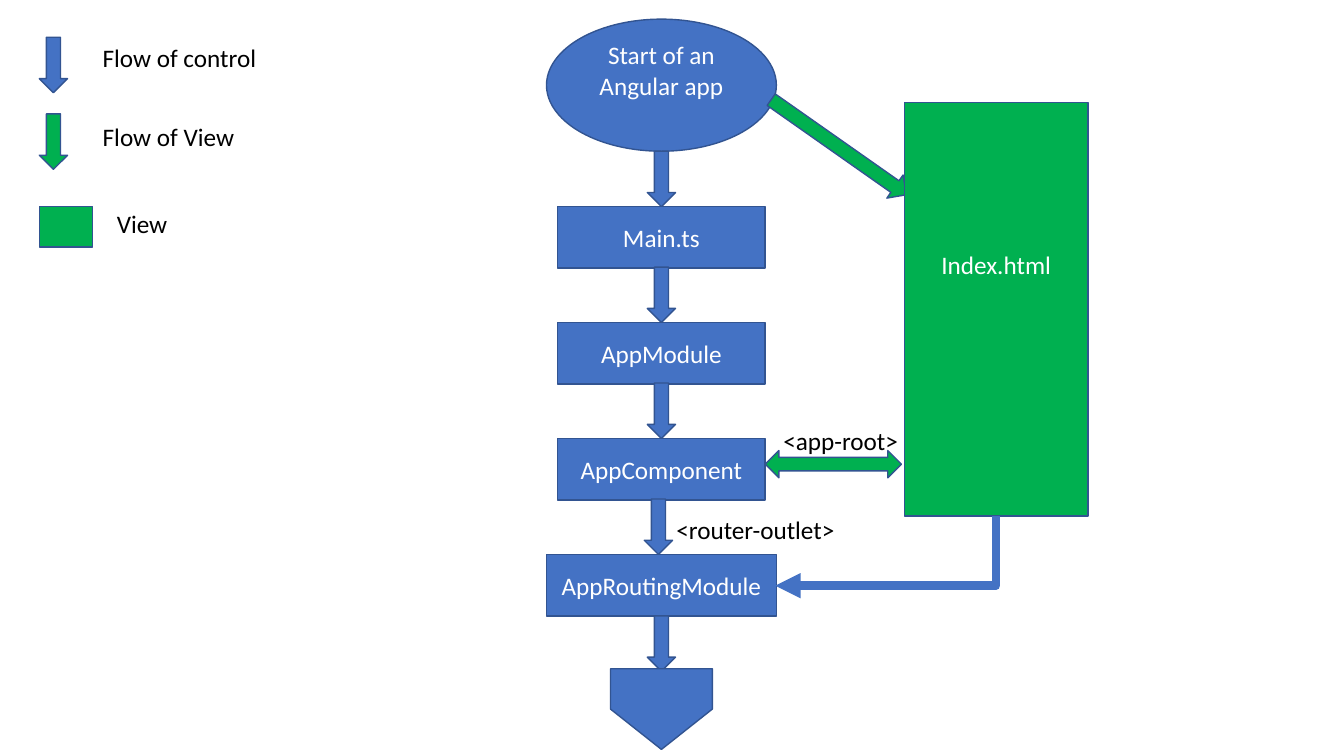
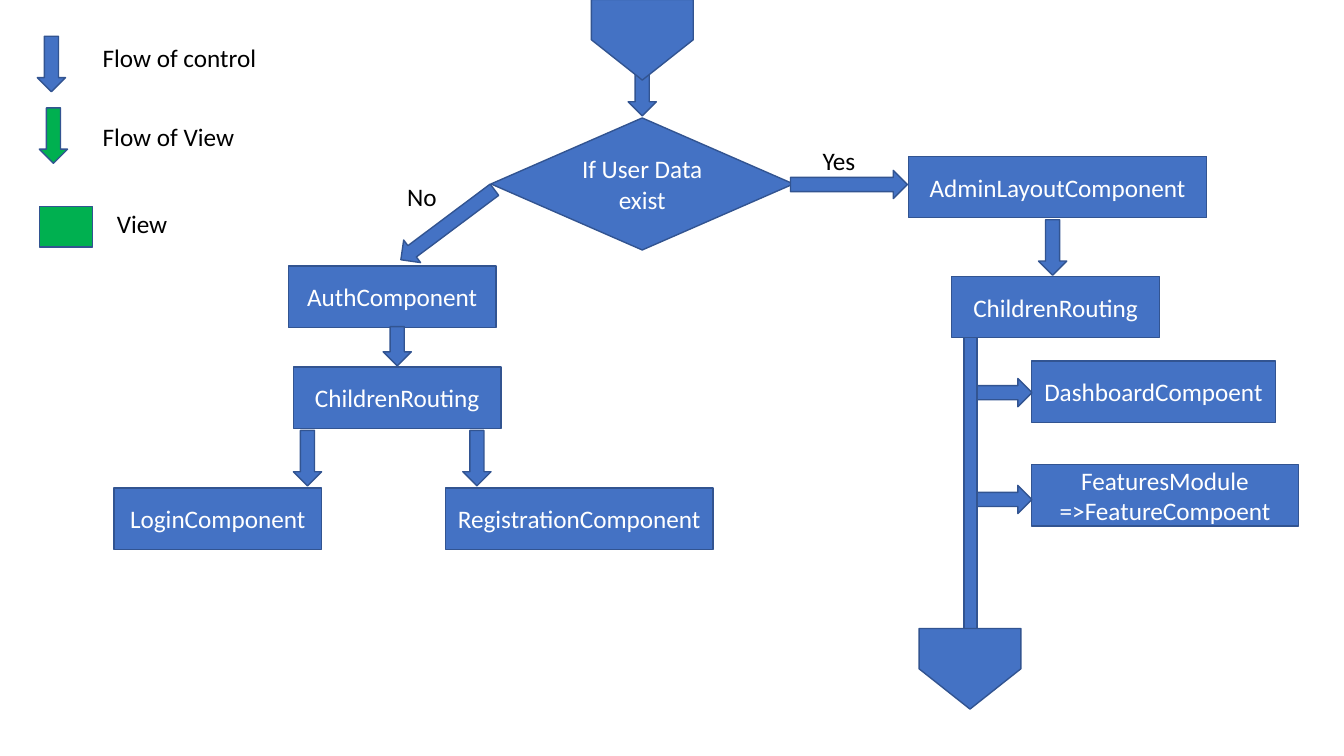
from dataclasses import dataclass

from lxml import etree
from pptx import Presentation
from pptx.dml.color import RGBColor
from pptx.enum.shapes import MSO_CONNECTOR, MSO_SHAPE
from pptx.enum.text import MSO_ANCHOR, PP_ALIGN
from pptx.oxml.ns import qn
from pptx.util import Inches, Pt

RECT = MSO_SHAPE.RECTANGLE
OVAL = MSO_SHAPE.OVAL
DIAMOND = MSO_SHAPE.DIAMOND
PENTAGON = MSO_SHAPE.PENTAGON
ARROW = MSO_SHAPE.DOWN_ARROW
DOUBLE_ARROW = MSO_SHAPE.LEFT_RIGHT_ARROW
ELBOW = MSO_CONNECTOR.ELBOW


@dataclass(frozen=True)
class Theme:
    """Colours and type shared by both slides."""
    control: RGBColor = RGBColor(0x44, 0x72, 0xC4)
    view: RGBColor = RGBColor(0x00, 0xB0, 0x50)
    outline: RGBColor = RGBColor(0x32, 0x54, 0x91)
    on_fill: RGBColor = RGBColor(0xFF, 0xFF, 0xFF)
    ink: RGBColor = RGBColor(0x00, 0x00, 0x00)
    font: str = "Calibri"
    size: Pt = Pt(18)
    outline_width: Pt = Pt(1)
    elbow_width: Pt = Pt(6)


theme = Theme()


def add_block(page, kind, frame, text="", fill=theme.control, turn=0, lift=0):
    """Add an outlined shape; lift moves its text up by enlarging the bottom inset."""
    box = page.shapes.add_shape(kind, *map(Inches, frame))
    box.shadow.inherit = False
    box.rotation = turn
    box.fill.solid()
    box.fill.fore_color.rgb = fill
    box.line.color.rgb = theme.outline
    box.line.width = theme.outline_width
    if text:
        box.text_frame.word_wrap = True
        box.text_frame.vertical_anchor = MSO_ANCHOR.MIDDLE
        box.text_frame.margin_bottom = Inches(0.05 + lift)
        para = box.text_frame.paragraphs[0]
        para.text = text
        para.alignment = PP_ALIGN.CENTER
        para.font.name, para.font.size = theme.font, theme.size
        para.font.color.rgb = theme.on_fill


def add_label(page, left, top, width, text):
    """Add a one-line black label."""
    box = page.shapes.add_textbox(Inches(left), Inches(top), Inches(width), Inches(0.4))
    box.text_frame.word_wrap = False
    para = box.text_frame.paragraphs[0]
    para.text = text
    para.font.name, para.font.size = theme.font, theme.size
    para.font.color.rgb = theme.ink


deck = Presentation()
deck.slide_width, deck.slide_height = Inches(13.33), Inches(7.5)
startup, routing = [deck.slides.add_slide(deck.slide_layouts[6]) for _ in range(2)]

# Legend on both slides
for page, control_at, view_at in (
    (startup, (0.39, 0.37), (0.39, 1.13)),
    (routing, (0.37, 0.36), (0.39, 1.07)),
):
    add_block(page, ARROW, (*control_at, 0.28, 0.55))
    add_block(page, ARROW, (*view_at, 0.28, 0.55), fill=theme.view)
    add_block(page, RECT, (0.39, 2.05, 0.53, 0.4), fill=theme.view)
    add_label(page, 0.92, 0.37, 1.74, "Flow of control")
    add_label(page, 0.92, 1.15, 1.52, "Flow of View")
    add_label(page, 1.06, 2.02, 0.71, "View")

# Slide 1: start-up chain
add_block(startup, OVAL, (5.42, 0.19, 2.28, 1.31), "Start of an Angular app", lift=0.3)
chain = (
    ("Main.ts", 6.42, 2.06),
    ("AppModule", 6.42, 2.06),
    ("AppComponent", 6.42, 2.06),
    ("AppRoutingModule", 6.39, 2.28),
)
chain_middle, chain_step = 6.56, 1.15
for index, (name, arrow_left, width) in enumerate(chain):
    top = 2.05 + index * chain_step
    add_block(startup, ARROW, (arrow_left, top - 0.55, 0.28, 0.55))
    add_block(startup, RECT, (chain_middle - width / 2, top, width, 0.61), name)
add_block(startup, ARROW, (6.42, 6.11, 0.28, 0.55))
add_block(startup, PENTAGON, (6.16, 6.53, 0.8, 1.01), turn=90)

# Slide 1: the view and its links
add_block(startup, ARROW, (8.18, 0.64, 0.28, 1.64), fill=theme.view, turn=305.1)
add_block(startup, RECT, (8.97, 1.02, 1.82, 4.1), "Index.html", theme.view, lift=0.9)
add_block(startup, DOUBLE_ARROW, (7.59, 4.47, 1.35, 0.27), fill=theme.view)
add_label(startup, 7.67, 4.17, 1.35, "<app-root>")
add_label(startup, 6.61, 5.05, 1.79, "<router-outlet>")

# A single-bend elbow, turned a quarter so that it runs down and then left
elbow = startup.shapes.add_connector(
    ELBOW, Inches(8.44), Inches(4.37), Inches(9.13), Inches(6.56))
elbow.line.color.rgb = theme.control
elbow.line.width = theme.elbow_width
properties = elbow._element.spPr
properties.find(qn("a:prstGeom")).set("prst", "bentConnector2")
properties.find(qn("a:xfrm")).set("rot", str(90 * 60000))
etree.SubElement(properties.find(qn("a:ln")), qn("a:tailEnd"), type="triangle")
etree.SubElement(properties, qn("a:effectLst"))

# Slide 2: decision
add_block(routing, ARROW, (6.23, 0.6, 0.28, 0.55))
add_block(routing, PENTAGON, (5.97, -0.11, 0.8, 1.01), turn=90)
add_block(routing, DIAMOND, (4.87, 1.17, 3, 1.31), "If User Data exist")
add_label(routing, 3.94, 1.75, 0.5, "No")
add_label(routing, 8.06, 1.39, 0.53, "Yes")

# Slide 2: components of both branches
for left, top, width, name in (
    (2.86, 2.64, 2.06, "AuthComponent"),
    (2.91, 3.64, 2.06, "ChildrenRouting"),
    (1.13, 4.84, 2.06, "LoginComponent"),
    (4.42, 4.84, 2.65, "RegistrationComponent"),
    (9.01, 1.55, 2.96, "AdminLayoutComponent"),
    (9.44, 2.74, 2.06, "ChildrenRouting"),
    (10.23, 3.58, 2.42, "DashboardCompoent"),
    (10.23, 4.61, 2.65, "FeaturesModule =>FeatureCompoent"),
):
    add_block(routing, RECT, (left, top, width, 0.61), name)

# Slide 2: arrows of both branches
for left, top, length, turn in (
    (4.3, 1.65, 1.16, 53.2),
    (3.8, 3.24, 0.39, 0),
    (2.91, 4.27, 0.55, 0),
    (4.59, 4.27, 0.55, 0),
    (8.28, 1.25, 1.16, 270),
    (10.3, 2.18, 0.55, 0),
    (9.82, 3.62, 0.55, 270),
    (9.82, 4.68, 0.55, 270),
):
    add_block(routing, ARROW, (left, top, 0.28, length), turn=turn)
add_block(routing, RECT, (9.56, 3.35, 0.13, 3.12))
add_block(routing, PENTAGON, (9.22, 6.13, 0.8, 1.01), turn=90)

deck.save("out.pptx")
